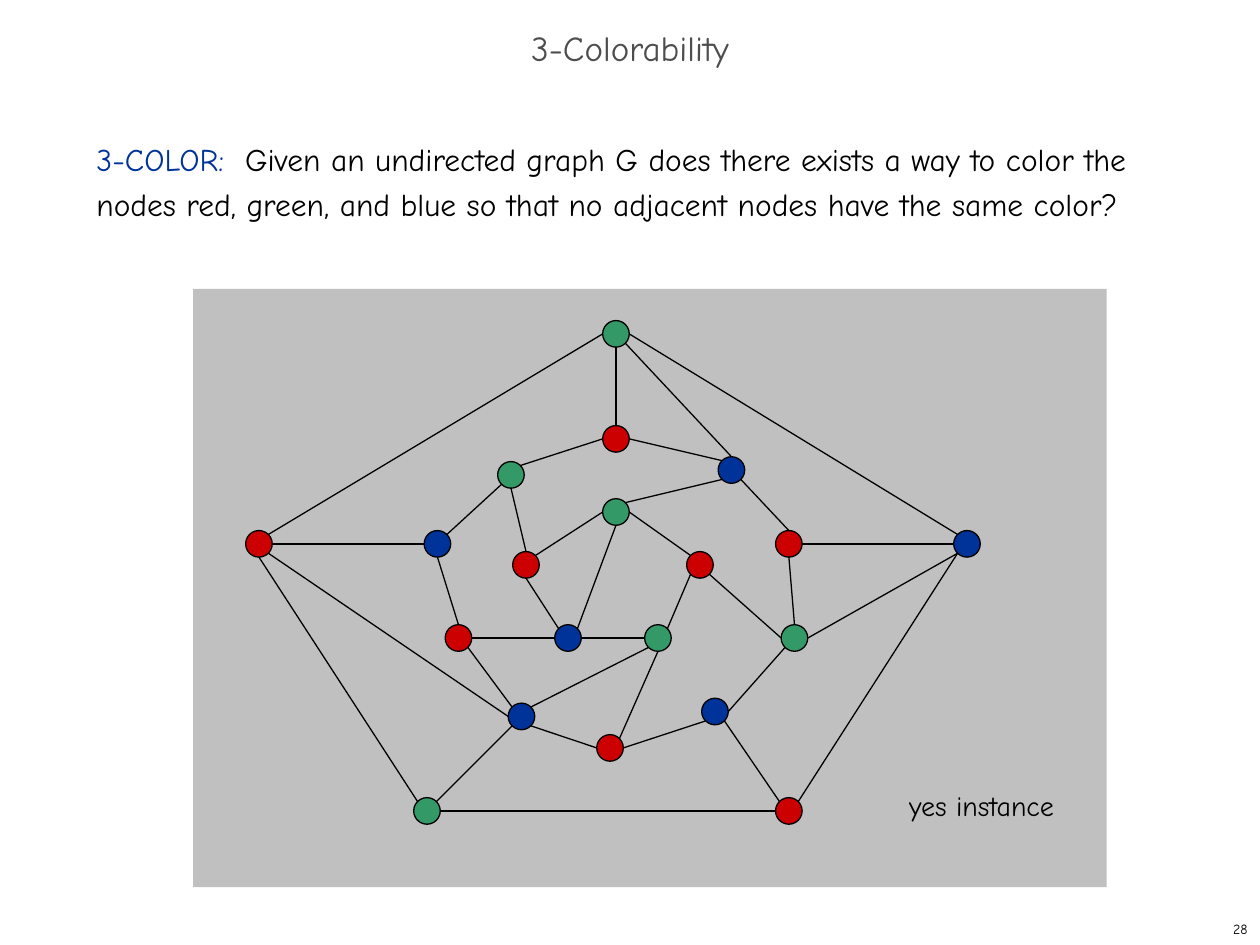
"""Build the 3-Colorability slide with its coloured graph."""
import math

import pptx
import pptx.dml.color
import pptx.enum.shapes
import pptx.enum.text
import pptx.util

Pt = pptx.util.Pt
ALIGN = pptx.enum.text.PP_ALIGN
ANCHOR = pptx.enum.text.MSO_ANCHOR
SHAPE = pptx.enum.shapes.MSO_SHAPE

BLACK = pptx.dml.color.RGBColor(0x00, 0x00, 0x00)
GRAY = pptx.dml.color.RGBColor(0x4D, 0x4D, 0x4D)
SILVER = pptx.dml.color.RGBColor(0xC0, 0xC0, 0xC0)
RED = pptx.dml.color.RGBColor(0xCC, 0x00, 0x00)
GREEN = pptx.dml.color.RGBColor(0x33, 0x99, 0x66)
BLUE = pptx.dml.color.RGBColor(0x00, 0x33, 0x99)

COMPASS = {name: index * math.pi / 4
           for index, name in enumerate(["E", "SE", "S", "SW", "W", "NW", "N", "NE"])}

NODES = {
    "inner_top": (352, 292.6, GREEN),
    "inner_right": (400, 322.8, RED),
    "inner_low_right": (376, 364.6, GREEN),
    "inner_low_left": (324.6, 364.6, BLUE),
    "inner_left": (300.6, 322.8, RED),
    "outer_top": (352, 190.8, GREEN),
    "outer_right": (552.6, 310.8, BLUE),
    "outer_low_right": (450.8, 463.4, RED),
    "outer_low_left": (244, 463.4, GREEN),
    "outer_left": (148, 310.8, RED),
    "ring_1": (352, 250.8, RED),
    "ring_2": (418, 268.6, BLUE),
    "ring_3": (450.8, 310.8, RED),
    "ring_4": (454, 364.6, GREEN),
    "ring_5": (408.6, 406.6, BLUE),
    "ring_6": (348.6, 427.4, RED),
    "ring_7": (298, 409.4, BLUE),
    "ring_8": (262, 364.6, RED),
    "ring_9": (250, 310.8, BLUE),
    "ring_10": (292, 271.4, GREEN),
}

EDGES = [
    ("inner_top", "E", "inner_right", "NW"),
    ("inner_low_left", "E", "inner_low_right", "W"),
    ("inner_left", "NE", "inner_top", "W"),
    ("outer_low_right", "NE", "outer_right", "SW"),
    ("outer_top", "E", "outer_right", "NW"),
    ("outer_low_left", "NW", "outer_left", "S"),
    ("outer_left", "NE", "outer_top", "W"),
    ("ring_1", "E", "ring_2", "NW"),
    ("ring_4", "N", "ring_3", "S"),
    ("ring_4", "SW", "ring_5", "E"),
    ("ring_1", "W", "ring_10", "NE"),
    ("ring_9", "S", "ring_8", "N"),
    ("ring_8", "SE", "ring_7", "NW"),
    ("ring_7", "SE", "ring_6", "W"),
    ("ring_6", "E", "ring_5", "SW"),
    ("outer_low_right", "NW", "ring_5", "SE"),
    ("ring_7", "SW", "outer_low_left", "NE"),
    ("ring_9", "W", "outer_left", "E"),
    ("ring_1", "N", "outer_top", "S"),
    ("inner_low_right", "S", "ring_6", "NE"),
    ("ring_4", "W", "inner_right", "SE"),
    ("inner_left", "N", "ring_10", "S"),
    ("ring_2", "SW", "inner_top", "NE"),
    ("inner_low_right", "NE", "inner_right", "SW"),
    ("inner_low_left", "NE", "inner_top", "S"),
    ("inner_low_left", "NW", "inner_left", "S"),
    ("ring_4", "E", "outer_right", "SW"),
    ("outer_low_left", "E", "outer_low_right", "W"),
    ("ring_7", "W", "outer_left", "SE"),
    ("ring_3", "N", "ring_2", "SE"),
    ("ring_10", "SW", "ring_9", "NE"),
    ("ring_7", "NE", "inner_low_right", "SW"),
    ("ring_2", "N", "outer_top", "SE"),
    ("ring_3", "E", "outer_right", "W"),
    ("inner_low_left", "W", "ring_8", "E"),
]


class GraphSlide:
    """Hold the style and the current slide."""

    font_name = "Comic Neue"
    line_width = Pt(0.75)
    radius = 7.6

    def __init__(self, slide):
        self.slide = slide

    def panel(self, left, top, width, height, color):
        shape = self.slide.shapes.add_shape(
            SHAPE.RECTANGLE, Pt(left), Pt(top), Pt(width), Pt(height))
        shape.shadow.inherit = False
        shape.fill.solid()
        shape.fill.fore_color.rgb = color
        shape.line.fill.background()

    def text(self, left, top, width, height, runs, size,
             align=ALIGN.LEFT, anchor=ANCHOR.TOP, spacing=None):
        box = self.slide.shapes.add_textbox(Pt(left), Pt(top), Pt(width), Pt(height))
        frame = box.text_frame
        frame.word_wrap = True
        frame.vertical_anchor = anchor
        paragraph = frame.paragraphs[0]
        paragraph.alignment = align
        paragraph.line_spacing = spacing
        for content, color in runs:
            run = paragraph.add_run()
            run.text = content
            run.font.name = self.font_name
            run.font.size = Pt(size)
            run.font.color.rgb = color

    def site(self, node, direction):
        x, y, _ = NODES[node]
        angle = COMPASS[direction]
        return (Pt(x + self.radius * math.cos(angle)),
                Pt(y + self.radius * math.sin(angle)))

    def edge(self, start, start_side, end, end_side):
        connector = self.slide.shapes.add_connector(
            pptx.enum.shapes.MSO_CONNECTOR.STRAIGHT,
            *self.site(start, start_side), *self.site(end, end_side))
        connector.line.color.rgb = BLACK
        connector.line.width = self.line_width
        properties = connector._element.spPr
        properties.append(pptx.oxml.parse_xml(
            '<a:effectLst xmlns:a="http://schemas.openxmlformats.org/drawingml/2006/main"/>'))

    def node(self, x, y, color):
        shape = self.slide.shapes.add_shape(
            SHAPE.OVAL, Pt(x - self.radius), Pt(y - self.radius),
            Pt(2 * self.radius), Pt(2 * self.radius))
        shape.shadow.inherit = False
        shape.fill.solid()
        shape.fill.fore_color.rgb = color
        shape.line.color.rgb = BLACK
        shape.line.width = self.line_width


def main():
    presentation = pptx.Presentation()
    presentation.slide_width = Pt(720)
    presentation.slide_height = Pt(540)
    page = GraphSlide(presentation.slides.add_slide(presentation.slide_layouts[6]))

    page.panel(110.4, 165, 522, 342, SILVER)
    page.text(0, 12, 720, 36, [("3-Colorability", GRAY)], 20,
              ALIGN.CENTER, ANCHOR.MIDDLE, 0.7)
    page.text(48, 72, 618, 426, [
        ("3-COLOR:  ", BLUE),
        ("Given an undirected graph G does there exists a way to color the nodes red, "
         "green, and blue so that no adjacent nodes have the same color?", BLACK),
    ], 18, spacing=Pt(26))
    for edge in EDGES:
        page.edge(*edge)
    for node in NODES.values():
        page.node(*node)
    page.text(512.4, 447, 108, 26.6, [("yes instance", BLACK)], 16)
    page.text(570, 522, 150, 18, [("28", BLACK)], 8, ALIGN.RIGHT, ANCHOR.MIDDLE)

    presentation.save("out.pptx")


if __name__ == "__main__":
    main()
